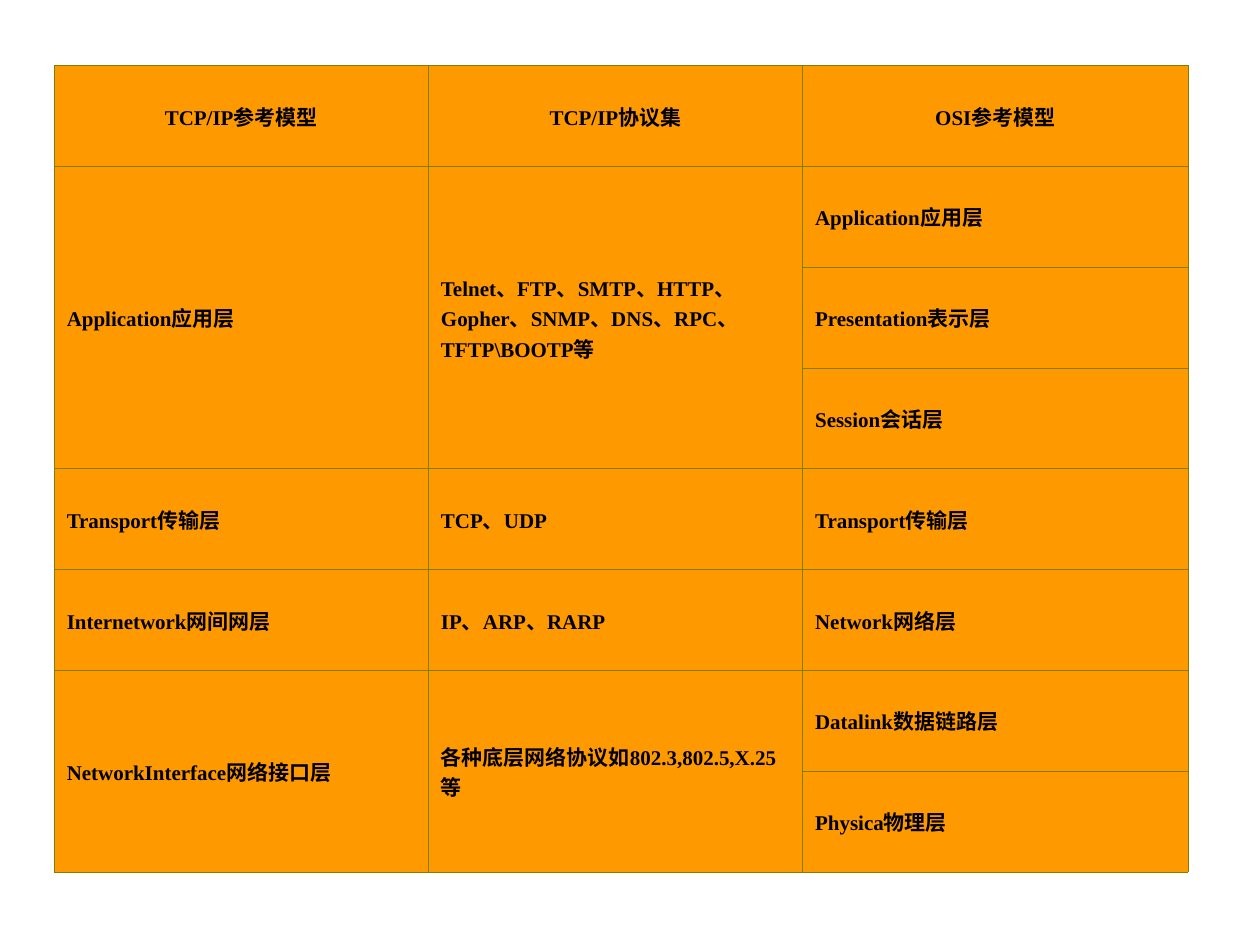
from lxml.etree import SubElement
from pptx import Presentation
from pptx.dml.color import RGBColor
from pptx.enum.text import MSO_ANCHOR as Anchor, PP_ALIGN as Align
from pptx.oxml.ns import qn
from pptx.util import Inches, Pt

ORANGE = RGBColor(0xFF, 0x99, 0x00)
OLIVE = RGBColor(0x80, 0x80, 0x00)
BLACK = RGBColor(0x00, 0x00, 0x00)

FONT = {"name": "Times New Roman", "size": Pt(12), "bold": True}
CELL = {
    "vertical_anchor": Anchor.MIDDLE,
    "margin_left": Inches(0.1),
    "margin_right": Inches(0.1),
    "margin_top": Inches(0.05),
    "margin_bottom": Inches(0.05),
}
LEFT, TOP = 0.43, 0.52
COL_WIDTHS = (2.97, 2.97, 3.06)
ROW_HEIGHT = 0.8

HEADERS = ("TCP/IP参考模型", "TCP/IP协议集", "OSI参考模型")
LAYERS = (
    ("Application应用层",
     "Telnet、FTP、SMTP、HTTP、Gopher、SNMP、DNS、RPC、TFTP\\BOOTP等",
     ("Application应用层", "Presentation表示层", "Session会话层")),
    ("Transport传输层", "TCP、UDP", ("Transport传输层",)),
    ("Internetwork网间网层", "IP、ARP、RARP", ("Network网络层",)),
    ("NetworkInterface网络接口层",
     "各种底层网络协议如802.3,802.5,X.25等",
     ("Datalink数据链路层", "Physica物理层")),
)


def set_attrs(obj, values):
    """Set each named attribute of an object."""
    for name, value in values.items():
        setattr(obj, name, value)


def add_borders(cell):
    """Draw a thin olive line on the four sides of a cell."""
    tc_pr = cell._tc.get_or_add_tcPr()
    for side in ("a:lnL", "a:lnR", "a:lnT", "a:lnB"):
        ln = SubElement(tc_pr, qn(side), w=str(Pt(0.45)))
        fill = SubElement(ln, qn("a:solidFill"))
        SubElement(fill, qn("a:srgbClr"), val=str(OLIVE))


def style_cell(cell):
    """Give a cell its borders, fill, margins and anchor."""
    add_borders(cell)
    cell.fill.solid()
    cell.fill.fore_color.rgb = ORANGE
    set_attrs(cell, CELL)


def write_cell(cell, text, align=Align.LEFT):
    """Write one bold paragraph into a cell."""
    p = cell.text_frame.paragraphs[0]
    p.alignment = align
    r = p.add_run()
    r.text = text
    set_attrs(r.font, FONT)
    r.font.color.rgb = BLACK


def add_grid(slide, rows):
    """Add the empty styled table."""
    frame = slide.shapes.add_table(
        rows, len(COL_WIDTHS), Inches(LEFT), Inches(TOP),
        Inches(sum(COL_WIDTHS)), Inches(rows * ROW_HEIGHT))
    table = frame.table
    for column, width in zip(table.columns, COL_WIDTHS):
        column.width = Inches(width)
    for row in table.rows:
        row.height = Inches(ROW_HEIGHT)
    for cell in table.iter_cells():
        style_cell(cell)
    return table


def fill_layers(table):
    """Write each TCP/IP layer beside the OSI layers it spans."""
    top = 1
    for layer, protocols, osi_layers in LAYERS:
        bottom = top + len(osi_layers) - 1
        for col, text in enumerate((layer, protocols)):
            cell = table.cell(top, col)
            if bottom > top:
                cell.merge(table.cell(bottom, col))
            write_cell(cell, text)
        for row, text in enumerate(osi_layers, top):
            write_cell(table.cell(row, 2), text)
        top = bottom + 1


def main():
    """Build the slide comparing the TCP/IP and OSI models."""
    prs = Presentation()
    prs.slide_width, prs.slide_height = Inches(10), Inches(7.5)
    slide = prs.slides.add_slide(prs.slide_layouts[6])
    table = add_grid(slide, 1 + sum(len(osi) for _, _, osi in LAYERS))
    for col, text in enumerate(HEADERS):
        write_cell(table.cell(0, col), text, Align.CENTER)
    fill_layers(table)
    prs.save("out.pptx")


if __name__ == "__main__":
    main()
